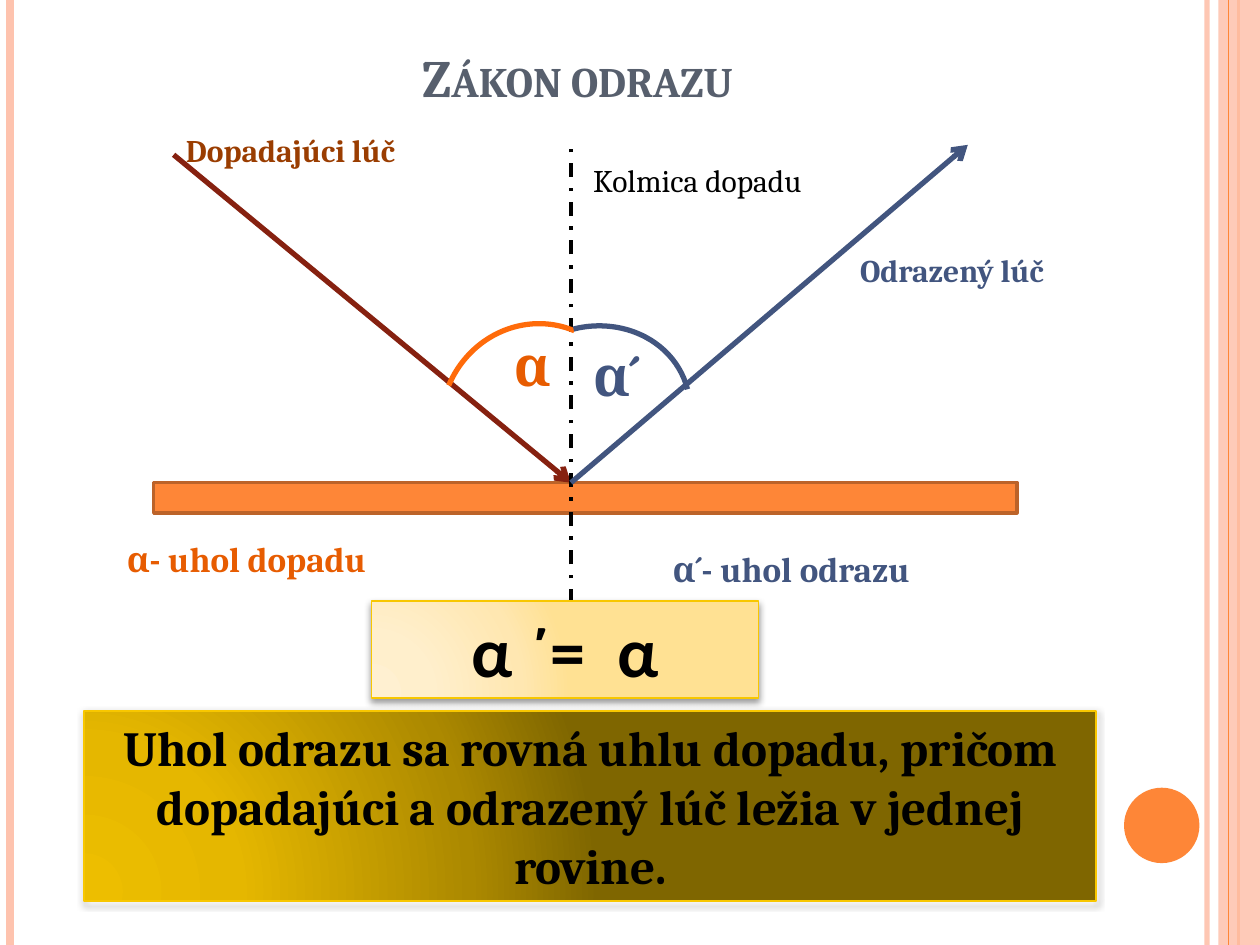
"""Builds a slide on the law of reflection with a ray diagram and its rule."""
from pptx import Presentation
from pptx.dml.color import RGBColor
from pptx.enum.dml import MSO_LINE
from pptx.enum.shapes import MSO_CONNECTOR, MSO_SHAPE
from pptx.enum.text import MSO_ANCHOR, MSO_AUTO_SIZE, PP_ALIGN
from pptx.oxml import parse_xml
from pptx.oxml.ns import nsdecls, qn
from pptx.util import Cm, Pt
from lxml.etree import SubElement

ORANGE = RGBColor(0xFE, 0x86, 0x37)
PEACH = RGBColor(0xFE, 0xC3, 0xAE)
SLATE = RGBColor(0x57, 0x5F, 0x6D)
BLACK = RGBColor(0x00, 0x00, 0x00)
GOLD = RGBColor(0xF8, 0xC7, 0x00)
RUST = RGBColor(0xBC, 0x63, 0x29)
DARK_RED = RGBColor(0x86, 0x21, 0x10)
BROWN = RGBColor(0x9A, 0x3D, 0x01)
BRIGHT_ORANGE = RGBColor(0xFF, 0x6B, 0x0A)
DEEP_ORANGE = RGBColor(0xE7, 0x5C, 0x01)
BLUE = RGBColor(0x42, 0x55, 0x7F)
DARK_GOLD = ("EDBE00", "E5B700", "AC8900", "7F6600")
PALE_GOLD = ("FFF0D1", "FFEFCC", "FFE7B1", "FFE193")

WIDTH, HEIGHT = 25.4, 19.05
HIT = (11.51, 9.73)


def write(tf, text, size=18, color=BLACK, bold=True, font="Cambria", align=None, caps=False):
    """Fill a text frame with one formatted run."""
    tf.word_wrap = True
    p = tf.paragraphs[0]
    p.alignment = align
    r = p.add_run()
    r.text = text
    r.font.size, r.font.bold, r.font.name = Pt(size), bold, font
    r.font.color.rgb = color
    if caps:
        r.font._element.set("cap", "small")


def set_alpha(parent, percent):
    """Make the solid colour under an element partly transparent."""
    color = parent.find(qn("a:solidFill"))[0]
    SubElement(color, qn("a:alpha"), val=str(percent * 1000))


class Diagram:
    """Hold the slide and draw each kind of element on it."""

    def __init__(self, slide):
        self.slide = slide

    def title(self, text, *box):
        sp = self.slide.shapes.title
        sp.left, sp.top, sp.width, sp.height = map(Cm, box)
        tf = sp.text_frame
        tf.auto_size = MSO_AUTO_SIZE.NONE
        tf.vertical_anchor = MSO_ANCHOR.BOTTOM
        write(tf, text, 30, SLATE, align=PP_ALIGN.CENTER, caps=True)

    def label(self, text, *box, **style):
        tf = self.slide.shapes.add_textbox(*map(Cm, box)).text_frame
        tf.auto_size = MSO_AUTO_SIZE.SHAPE_TO_FIT_TEXT
        write(tf, text, **style)

    def line(self, start, end, color, width, alpha=None, arrow=False, dash=None):
        sp = self.slide.shapes.add_connector(MSO_CONNECTOR.STRAIGHT, *map(Cm, (*start, *end)))
        sp.line.color.rgb, sp.line.width = color, Pt(width)
        if dash:
            sp.line.dash_style = dash
        spPr = sp._element.spPr
        ln = spPr.find(qn("a:ln"))
        if alpha:
            set_alpha(ln, alpha)
        if arrow:
            SubElement(ln, qn("a:tailEnd"), type="arrow")
        SubElement(spPr, qn("a:effectLst"))

    def shape(self, kind, *box, fill=None, line=None, width=1, alpha=None, rotation=0):
        sp = self.slide.shapes.add_shape(kind, *map(Cm, box))
        sp.shadow.inherit = False
        sp.rotation = rotation
        if fill is None:
            sp.fill.background()
        else:
            sp.fill.solid()
            sp.fill.fore_color.rgb = fill
        if line is None:
            sp.line.fill.background()
        else:
            sp.line.color.rgb, sp.line.width = line, Pt(width)
        if alpha:
            set_alpha(sp._element.spPr, alpha)
        return sp

    def panel(self, text, *box, colors, shadow, distance, **style):
        sp = self.shape(MSO_SHAPE.RECTANGLE, *box, fill=GOLD, line=GOLD)
        stops = "".join(
            f'<a:gs pos="{pos}000"><a:srgbClr val="{color}"/></a:gs>'
            for pos, color in zip((0, 30, 75, 100), colors))
        gradient = parse_xml(
            f'<a:gradFill {nsdecls("a")} rotWithShape="1"><a:gsLst>{stops}</a:gsLst>'
            '<a:path path="circle"><a:fillToRect l="5000" t="100000" r="120000" b="10000"/>'
            '</a:path></a:gradFill>')
        spPr = sp._element.spPr
        spPr.replace(spPr.find(qn("a:solidFill")), gradient)
        spPr.find(qn("a:effectLst")).append(parse_xml(
            f'<a:outerShdw {nsdecls("a")} blurRad="{Pt(4)}" dist="{Pt(distance)}" '
            'dir="5400000" rotWithShape="0"><a:srgbClr val="000000">'
            f'<a:alpha val="{shadow}000"/></a:srgbClr></a:outerShdw>'))
        tf = sp.text_frame
        tf.auto_size = MSO_AUTO_SIZE.SHAPE_TO_FIT_TEXT
        write(tf, text, align=PP_ALIGN.CENTER, **style)


def draw_frame(d):
    """Draw the stripes and the disc at the slide edges."""
    def stripe(x, color, width, alpha=None):
        d.line((x, 0), (x, HEIGHT), color, width, alpha)

    stripe(24.33, PEACH, 3, alpha=93)
    stripe(0.2, PEACH, 4.5)
    stripe(24.97, ORANGE, 1.5)
    d.shape(MSO_SHAPE.RECTANGLE, 24.56, 0, 0.84, HEIGHT, fill=PEACH, alpha=87)
    stripe(24.77, ORANGE, 0.75)
    d.shape(MSO_SHAPE.OVAL, 22.66, 15.88, 1.52, 1.52, fill=ORANGE)


def draw_reflection(d):
    """Draw the mirror, the rays, the normal and the angles."""
    d.shape(MSO_SHAPE.RECTANGLE, 3.1, HIT[1], 17.4, 0.61, fill=ORANGE, line=RUST, width=2)
    d.line((3.5, 3.12), HIT, DARK_RED, 3, arrow=True)
    d.label("Dopadajúci lúč", 3.5, 2.51, 7.19, 1.02, color=BROWN)
    d.line((HIT[0], 13.72), (HIT[0], 2.92), BLACK, 2, dash=MSO_LINE.DASH_DOT)
    d.label("Kolmica dopadu", 11.71, 3.12, 7.19, 1.02, bold=False)
    d.shape(MSO_SHAPE.ARC, 8.81, 6.6, 3.99, 3.81, line=BRIGHT_ORANGE, width=3, rotation=292.8)
    d.label("α", 10.11, 6.53, 1.4, 1.63, size=32, color=DEEP_ORANGE)
    d.label("α- uhol dopadu", 2.31, 10.72, 7.59, 1.12, size=20, color=DEEP_ORANGE)
    d.shape(MSO_SHAPE.ARC, 10.06, 6.58, 3.86, 3.48, line=BLUE, width=3, rotation=345.8)
    d.line(HIT, (19.51, 2.92), BLUE, 3, arrow=True)
    d.label("α´", 11.71, 6.73, 2.01, 1.63, size=32, color=BLUE)
    d.label("α´- uhol odrazu", 13.31, 10.92, 7.59, 1.12, size=20, color=BLUE)
    d.label("Odrazený lúč", 17.09, 4.93, 7.19, 1.02, color=BLUE)


def main():
    """Build the slide and save it."""
    prs = Presentation()
    prs.slide_width, prs.slide_height = Cm(WIDTH), Cm(HEIGHT)
    s = prs.slides.add_slide(prs.slide_layouts[5])
    d = Diagram(s)
    draw_frame(d)
    d.title("Zákon odrazu", 1.27, 0.76, 20.75, 1.55)
    d.panel("Uhol odrazu sa rovná uhlu dopadu, pričom dopadajúci a odrazený lúč ležia v jednej rovine.",
            1.7, 14.33, 20.4, 3.84, colors=DARK_GOLD, shadow=42, distance=1.6, size=28)
    draw_reflection(d)
    d.panel("α ´=  α", 7.49, 12.12, 7.8, 1.96, colors=PALE_GOLD, shadow=40, distance=2,
            size=40, font="Calibri")
    prs.save("out.pptx")


if __name__ == "__main__":
    main()
